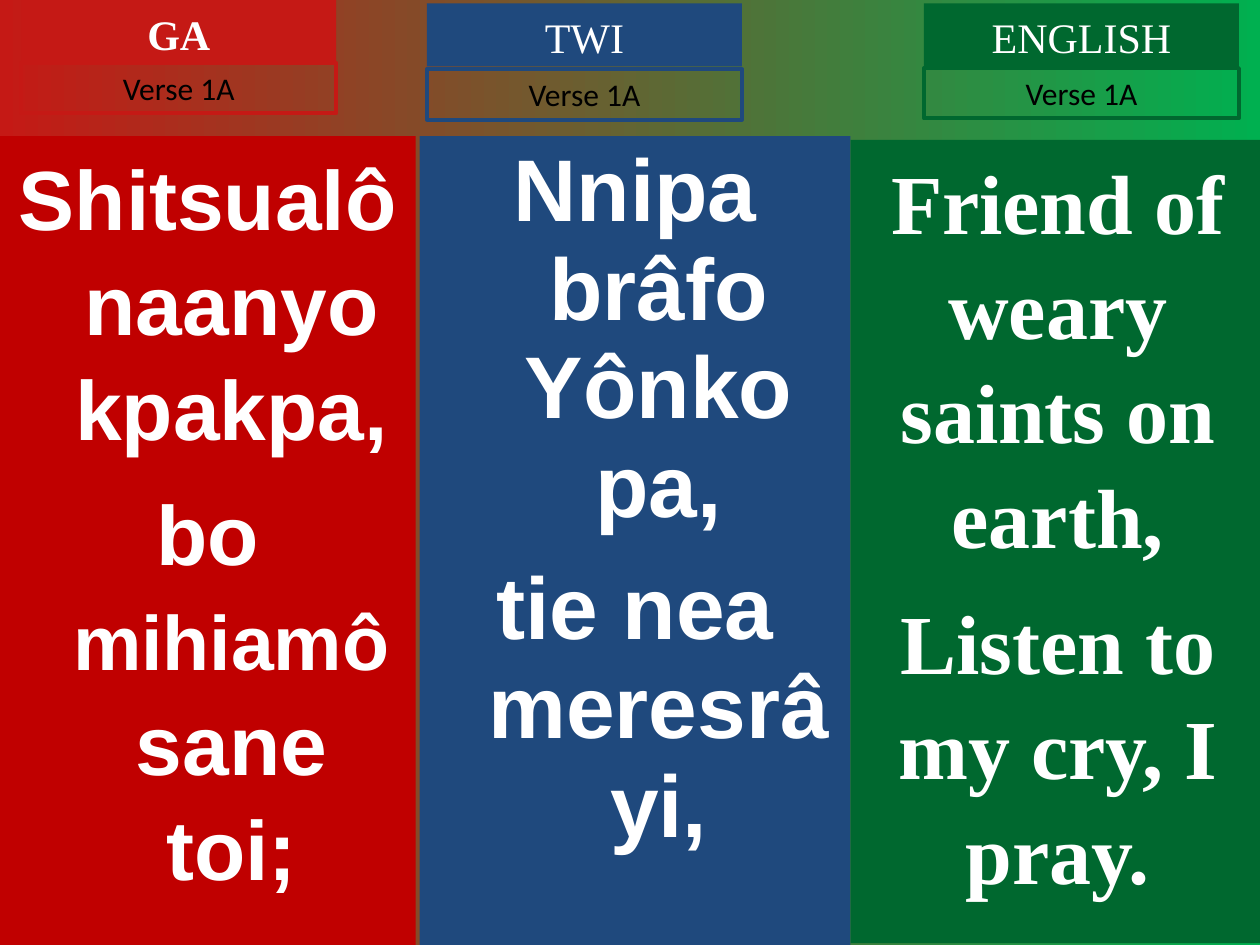
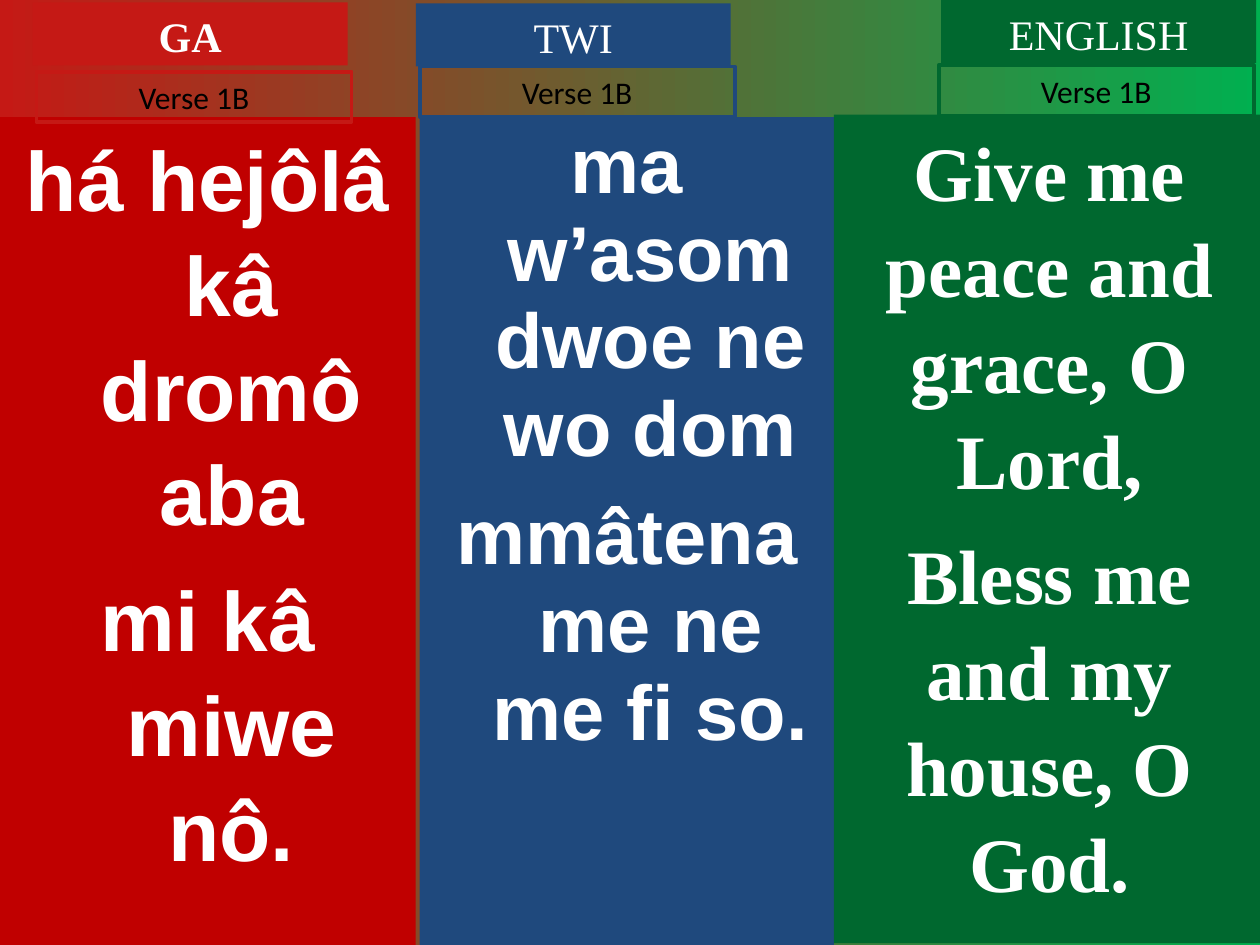
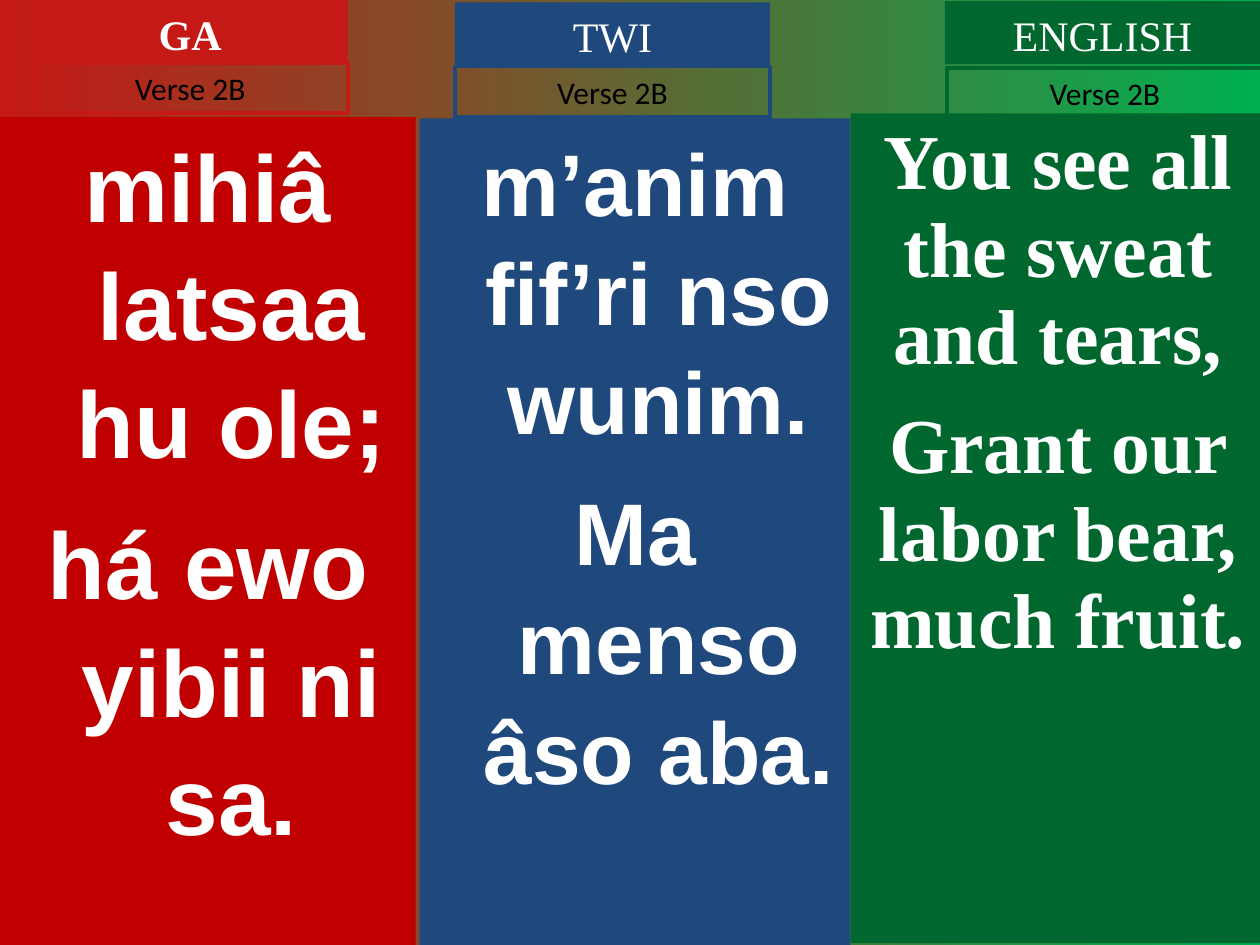
from dataclasses import dataclass

from pptx import Presentation
from pptx.dml.color import RGBColor as RGB
from pptx.enum.shapes import MSO_SHAPE as SHAPE
from pptx.enum.text import MSO_ANCHOR as ANCHOR, MSO_AUTO_SIZE as FIT, PP_ALIGN as ALIGN
from pptx.util import Pt

COLORS = {
    "red": "C51915", "deep_red": "C00000", "blue": "1F497D", "green": "00682F",
    "bright_green": "00B050", "white": "FFFFFF", "black": "000000",
}
WIDTH, HEIGHT = 720, 540
LABEL_WIDTH, TAG_HEIGHT, VERSE_HEIGHT = 180, 36, 28.8
HANG = 27
SMALLER = 44
SINGLE, TIGHT = 1.04, 0.94
TAG_FONT = {"name": "Times New Roman", "size": Pt(24), "bold": False}
VERSE_FONT = {"name": "Calibri", "size": Pt(18), "bold": False}


@dataclass
class Language:
    """Look of one language column."""
    name: str
    panel: str
    accent: str
    font: str
    hang: int
    bold_tag: bool


@dataclass
class Lyrics:
    """Places and words of one column; "|" marks the smaller words."""
    top: float
    tag: tuple
    verse: tuple
    size: float
    before: float
    spacing: float
    lines: tuple


LANGUAGES = (
    Language("GA", "deep_red", "red", "Arial", HANG, True),
    Language("TWI", "blue", "blue", "Arial", HANG, False),
    Language("ENGLISH", "green", "green", "Times New Roman", 0, False),
)

SLIDES = (
    ("Verse 1A", 486, (
        Lyrics(77.8, (12.2, 0), (12.2, 36), 48, 12, SINGLE,
               ("Shitsualô naanyo kpakpa,", "bo |mihiamô| sane toi;")),
        Lyrics(77.8, (244, 2), (244, 39.6), 50, 13.5, TIGHT,
               ("Nnipa brâfo Yônko pa,", "tie nea meresrâ yi,")),
        Lyrics(80, (528, 2), (528, 38.9), 48, 12, SINGLE,
               ("Friend of weary saints on earth,", "Listen to my cry, I pray.")),
    )),
    ("Verse 1B", 476.6, (
        Lyrics(67, (18.7, 1.4), (20.9, 41), 48, 12, SINGLE,
               ("há hejôlâ kâ dromô aba", "mi kâ miwe nô.")),
        Lyrics(67, (237.6, 2), (239.8, 38), 44.4, 12, TIGHT,
               ("ma w’asom dwoe ne wo dom", "mmâtena me ne me fi so.")),
        Lyrics(65.5, (537.8, 0), (536.4, 37.4), 44, 11, SINGLE,
               ("Give me peace and grace, O Lord,", "Bless me and my house, O God.")),
    )),
    ("Verse 2B", 486, (
        Lyrics(67, (18.7, 0), (18.7, 36), 54, 13.5, SINGLE,
               ("mihiâ latsaa hu ole;", "há ewo yibii ni sa.")),
        Lyrics(67.7, (260, 1.4), (260, 38), 50, 12.5, SINGLE,
               ("m’anim fif’ri nso wunim.", "Ma menso âso aba.")),
        Lyrics(64.8, (540, 0.7), (541.4, 38.9), 44.4, 12, TIGHT,
               ("You see all the sweat and tears,", "Grant our labor bear, much fruit.")),
    )),
)


def rgb(name):
    """Return the named colour."""
    return RGB.from_string(COLORS[name])


def set_all(target, values):
    """Set every attribute in a dict of format values."""
    for key, value in values.items():
        setattr(target, key, value)


def add_box(s, box, fill=None, line=None):
    """Add a plain rectangle, filled or outlined, and return it."""
    sp = s.shapes.add_shape(SHAPE.RECTANGLE, *map(Pt, box))
    sp.shadow.inherit = False
    if fill:
        sp.fill.solid()
        sp.fill.fore_color.rgb = rgb(fill)
    else:
        sp.fill.background()
    if line:
        sp.line.color.rgb = rgb(line)
        sp.line.width = Pt(2.25)
    else:
        sp.line.fill.background()
    set_all(sp.text_frame, {
        "word_wrap": True, "vertical_anchor": ANCHOR.TOP,
        "margin_left": Pt(7.2), "margin_right": Pt(7.2),
        "margin_top": Pt(3.6), "margin_bottom": Pt(3.6),
    })
    return sp


def add_run(p, text, font, color):
    """Add a formatted run to a paragraph."""
    r = p.add_run()
    r.text = text
    set_all(r.font, font)
    r.font.color.rgb = rgb(color)


def add_label(s, box, text, font, color, spacing, **look):
    """Add a one-line centred label."""
    tf = add_box(s, box, **look).text_frame
    tf.auto_size = FIT.SHAPE_TO_FIT_TEXT
    p = tf.paragraphs[0]
    set_all(p, {"alignment": ALIGN.CENTER, "line_spacing": spacing})
    add_run(p, text, font, color)


def add_panel(s, box, lang, lyrics):
    """Add the column panel with its lines of lyrics."""
    tf = add_box(s, box, fill=lang.panel).text_frame
    for i, line in enumerate(lyrics.lines):
        p = tf.add_paragraph() if i else tf.paragraphs[0]
        set_all(p, {"alignment": ALIGN.CENTER, "line_spacing": lyrics.spacing,
                    "space_before": Pt(lyrics.before if i else 0)})
        pPr = p._p.get_or_add_pPr()
        pPr.set("marL", str(Pt(lang.hang)))
        pPr.set("indent", str(-Pt(lang.hang)))
        for j, text in enumerate(line.split("|")):
            size = SMALLER if j % 2 else lyrics.size
            add_run(p, text, {"name": lang.font, "size": Pt(size), "bold": True}, "white")


def add_column(s, left, right, bottom, lang, lyrics, verse):
    """Add one language column: panel, language tag and verse label."""
    add_panel(s, (left, lyrics.top, right - left, bottom - lyrics.top), lang, lyrics)
    add_label(s, (*lyrics.tag, LABEL_WIDTH, TAG_HEIGHT), lang.name,
              {**TAG_FONT, "bold": lang.bold_tag}, "white", SINGLE, fill=lang.accent)
    add_label(s, (*lyrics.verse, LABEL_WIDTH, VERSE_HEIGHT), verse,
              VERSE_FONT, "black", 1.0, line=lang.accent)


def add_background(s):
    """Fill the slide background from red to green, left to right."""
    fill = s.background.fill
    fill.gradient()
    fill.gradient_angle = 0
    for stop, place, color in zip(fill.gradient_stops, (0, 1), ("red", "bright_green")):
        stop.position = place
        stop.color.rgb = rgb(color)


def add_verse_slide(prs, verse, split, columns):
    """Add a slide with one verse in three languages."""
    s = prs.slides.add_slide(prs.slide_layouts[6])
    add_background(s)
    spans = ((0, 237.6, HEIGHT), (239.8, split, HEIGHT), (split, 723, 539))
    for span, lang, lyrics in zip(spans, LANGUAGES, columns):
        add_column(s, *span, lang, lyrics, verse)


def main():
    """Build and save the presentation."""
    prs = Presentation()
    prs.slide_width, prs.slide_height = Pt(WIDTH), Pt(HEIGHT)
    for verse, split, columns in SLIDES:
        add_verse_slide(prs, verse, split, columns)
    prs.save("out.pptx")


if __name__ == "__main__":
    main()
